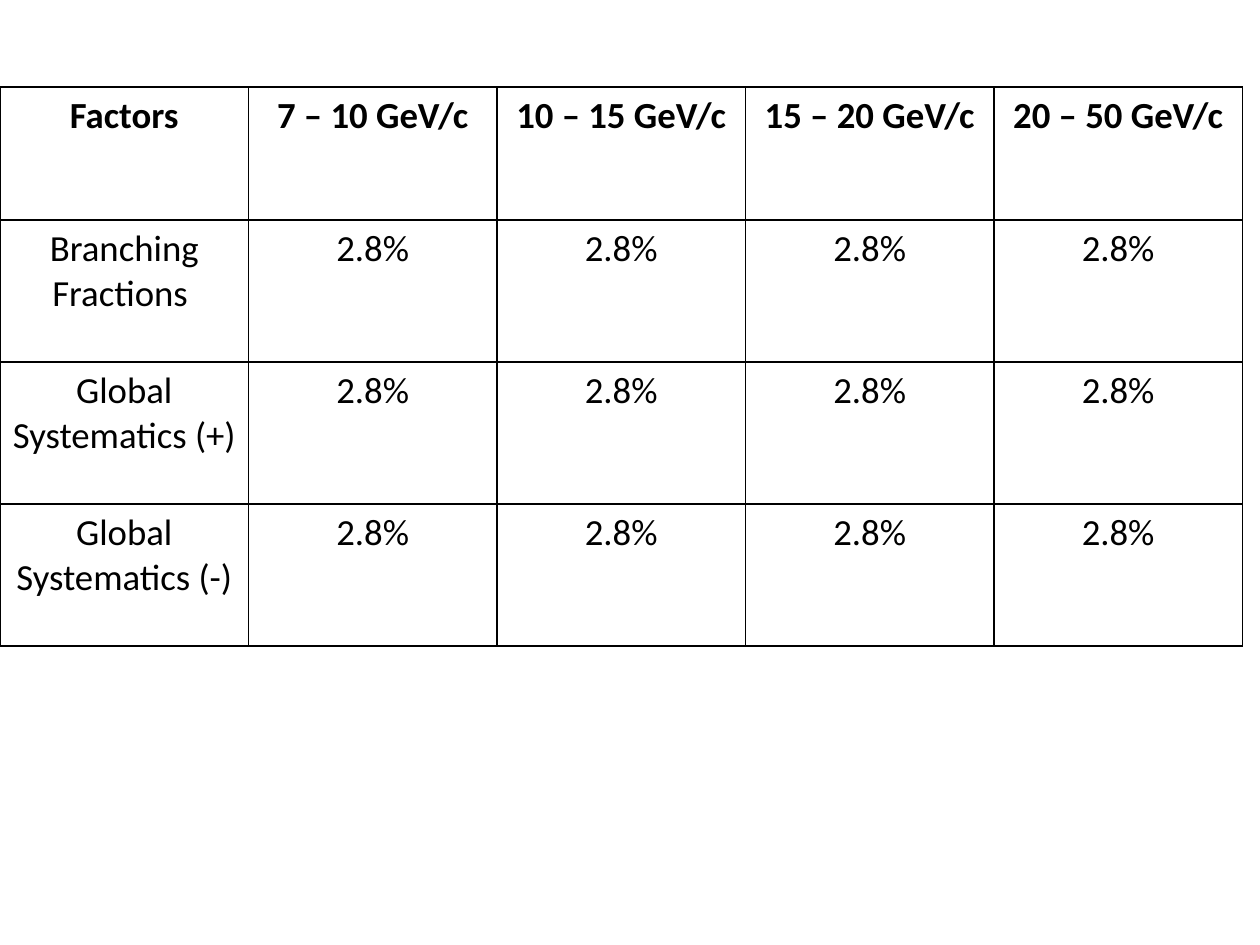
import pptx
import pptx.util
import pptx.dml.color
import pptx.enum.text
import pptx.oxml
import pptx.oxml.ns
from lxml import etree

Pt = pptx.util.Pt
THEME = {
    "ink": "000000",
    "font": "Calibri",
    "size": 21,
    "line": 1,
}
HEAD = ["Factors", "7 – 10 GeV/c", "10 – 15 GeV/c",
        "15 – 20 GeV/c", "20 – 50 GeV/c"]
# Each factor has the same value in every momentum range
FACTS = {
    "Branching Fractions ": "2.8%",
    "Global Systematics (+) ": "2.8%",
    "Global Systematics (-) ": "2.8%",
}


def add_edges(cell):
    """Draw a solid line on the four sides of a cell."""
    props = cell._tc.get_or_add_tcPr()
    for pos, side in enumerate(("lnL", "lnR", "lnT", "lnB")):
        line = etree.Element(pptx.oxml.ns.qn("a:" + side),
                             w=str(Pt(THEME["line"])))
        fill = etree.SubElement(line, pptx.oxml.ns.qn("a:solidFill"))
        etree.SubElement(fill, pptx.oxml.ns.qn("a:srgbClr"), val=THEME["ink"])
        props.insert(pos, line)


def fill_cell(cell, text, bold):
    """Write centred text into a clear cell."""
    cell.fill.background()
    cell.text = text
    para = cell.text_frame.paragraphs[0]
    para.alignment = pptx.enum.text.PP_ALIGN.CENTER
    font = para.runs[0].font
    style = {"name": THEME["font"], "size": Pt(THEME["size"]), "bold": bold}
    for key, value in style.items():
        setattr(font, key, value)
    font.color.rgb = pptx.dml.color.RGBColor.from_string(THEME["ink"])
    add_edges(cell)


def add_grid(slide, left, top, width, height, head):
    """Place the table of factors; head is the height of its first row."""
    rows = [HEAD] + [[name] + [value] * (len(HEAD) - 1)
                     for name, value in FACTS.items()]
    table = slide.shapes.add_table(len(rows), len(HEAD), Pt(left), Pt(top),
                                   Pt(width), Pt(height)).table
    table.first_row = table.horz_banding = False
    for col in table.columns:
        col.width = Pt(width / len(HEAD))
    for r, texts in enumerate(rows):
        body = (height - head) / len(FACTS)
        table.rows[r].height = Pt(body if r else head)
        for c, text in enumerate(texts):
            fill_cell(table.cell(r, c), text, r == 0)


def main():
    deck = pptx.Presentation()
    deck.slide_width, deck.slide_height = Pt(720), Pt(540)
    slide = deck.slides.add_slide(deck.slide_layouts[6])
    # Table of uncertainties
    add_grid(slide, 0, 49.7, 710, 319.6, 76)
    deck.save("out.pptx")


if __name__ == "__main__":
    main()
